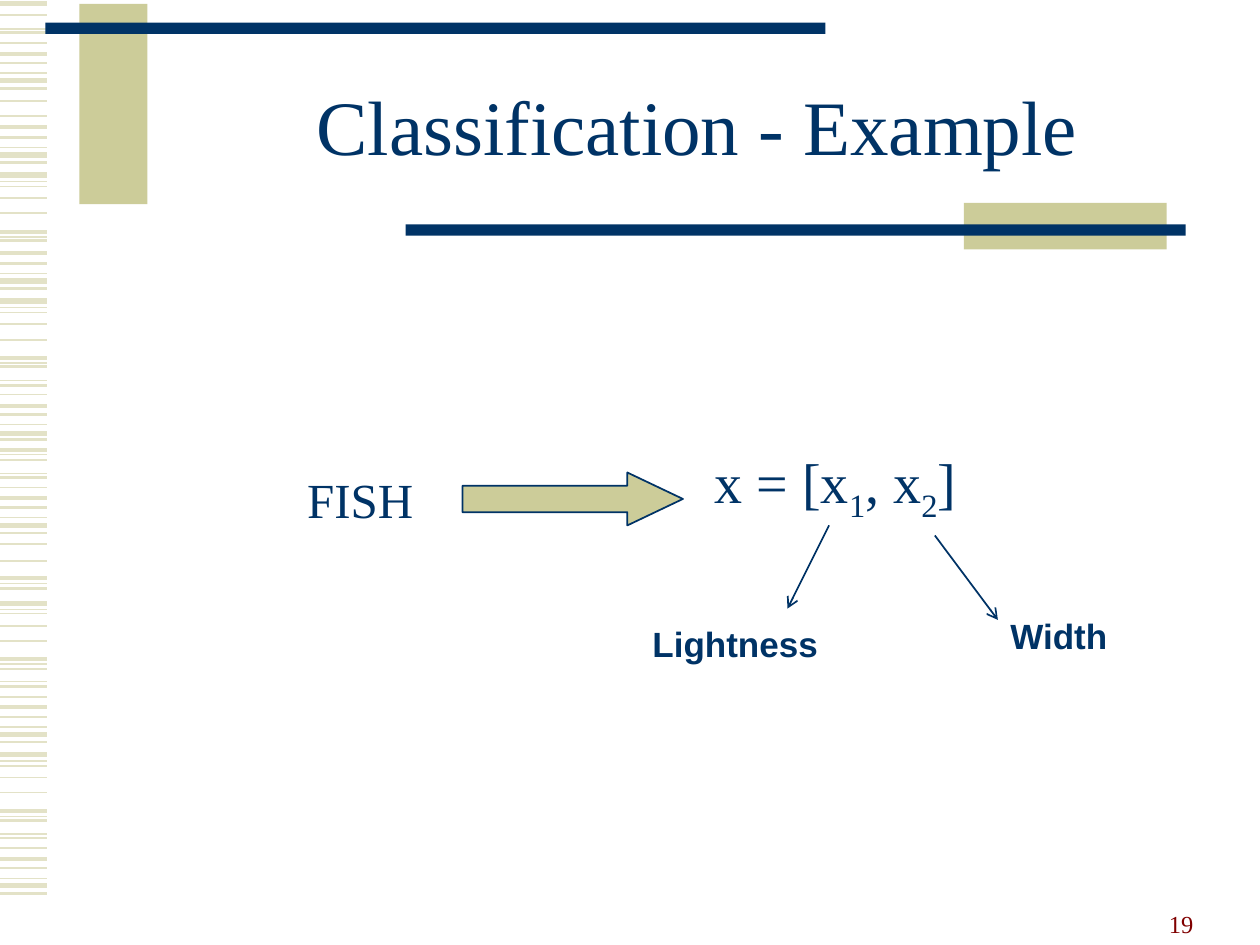
from lxml.etree import SubElement
from pptx import Presentation
from pptx.dml.color import RGBColor
from pptx.enum.shapes import MSO_CONNECTOR, MSO_SHAPE
from pptx.enum.text import MSO_ANCHOR, MSO_AUTO_SIZE, PP_ALIGN
from pptx.oxml.ns import qn
from pptx.util import Inches, Pt

COLORS = {"navy": "003366", "khaki": "CCCC99", "stripe": "E3E2C7", "number": "800000"}
SERIF, SANS = "Times New Roman", "Arial"

STRIPES = {
    0.75: [0.23, 0.58, 1.17, 1.44, 1.88, 2.17, 2.44, 2.88, 3.02, 3.37, 3.61, 3.76,
           4.11, 4.63, 4.84, 5.27, 5.41, 5.77, 6.04, 6.48, 6.62, 6.97],
    1: [0.34, 0.8, 0.92, 1.48, 1.57, 1.69, 2.48, 2.57, 2.7, 3.13, 3.87, 4.32, 4.45,
        4.87, 4.97, 5.09, 5.53, 6.08, 6.17, 6.29, 6.73],
    1.5: [0.12, 0.26, 0.5, 0.7, 1.09, 1.29, 1.91, 2.09, 2.29, 2.91, 3.06, 3.29, 3.49,
          3.65, 3.79, 4.03, 4.23, 4.67, 5.31, 5.45, 5.69, 5.89, 6.51, 6.65, 6.89, 7.09],
    2.25: [0.43, 1.01, 1.84, 2.01, 2.84, 3.22, 3.57, 3.95, 4.59, 5.23, 5.61, 6.44, 6.82],
    3: [0.03, 0.64, 1.23, 1.39, 2.23, 2.39, 3.44, 4.17, 4.79, 5.83, 5.99, 7.03],
}


def rgb(name):
    return RGBColor.from_string(COLORS[name])


def place(sp, box):
    sp.left, sp.top, sp.width, sp.height = (Inches(v) for v in box)


def style(r, size, font=SERIF, color="navy", bold=False):
    r.font.size, r.font.name, r.font.bold = Pt(size), font, bold
    r.font.color.rgb = rgb(color)


def add_line(s, start, end, color, weight, arrow=False):
    line = s.shapes.add_connector(
        MSO_CONNECTOR.STRAIGHT, *(Inches(v) for v in (*start, *end)))
    line.line.color.rgb = rgb(color)
    line.line.width = Pt(weight)
    if arrow:
        SubElement(line.line._get_or_add_ln(), qn("a:tailEnd"), type="arrow")
    SubElement(line._element.spPr, qn("a:effectLst"))


def add_block(s, kind, box, fill, outline=None):
    sp = s.shapes.add_shape(kind, *(Inches(v) for v in box))
    sp.shadow.inherit = False
    sp.fill.solid()
    sp.fill.fore_color.rgb = rgb(fill)
    if outline:
        sp.line.color.rgb = rgb(outline)
        sp.line.width = Pt(1)
    else:
        sp.line.fill.background()
    return sp


def add_label(s, box, text, size, font=SERIF, color="navy", bold=False):
    sp = s.shapes.add_textbox(*(Inches(v) for v in box))
    tf = sp.text_frame
    tf.word_wrap = False
    tf.auto_size = MSO_AUTO_SIZE.SHAPE_TO_FIT_TEXT
    tf.text = text
    style(tf.paragraphs[0].runs[0], size, font, color, bold)
    return tf


def add_stripes(s, left, right):
    for weight, heights in STRIPES.items():
        for y in heights:
            add_line(s, (left, y), (right, y), "stripe", weight)


def add_bars(s):
    for box, fill in [
        ((0.63, 0.03, 0.54, 1.59), "khaki"),
        ((0.36, 0.18, 6.19, 0.09), "navy"),
        ((7.65, 1.61, 1.61, 0.37), "khaki"),
        ((3.22, 1.78, 6.19, 0.09), "navy"),
    ]:
        add_block(s, MSO_SHAPE.RECTANGLE, box, fill)


def add_title(s, box):
    sp = s.shapes.title
    place(sp, box)
    tf = sp.text_frame
    tf.text = "Classification - Example"
    tf.auto_size = MSO_AUTO_SIZE.NONE
    tf.vertical_anchor = MSO_ANCHOR.MIDDLE
    p = tf.paragraphs[0]
    p.alignment = PP_ALIGN.CENTER
    p.line_spacing = 0.85
    style(p.runs[0], 44)


def add_vector(s, box):
    sp = s.placeholders[1]
    place(sp, box)
    tf = sp.text_frame
    tf.auto_size = MSO_AUTO_SIZE.NONE
    p = tf.paragraphs[0]
    p.alignment = PP_ALIGN.CENTER
    p.space_before = Pt(0)
    pPr = p._p.get_or_add_pPr()
    pPr.set("marL", str(Inches(0.38)))
    pPr.set("indent", str(Inches(-0.38)))
    SubElement(pPr, qn("a:buNone"))
    for text in ["x = [x", "1", ", x", "2", "]"]:
        r = p.add_run()
        r.text = text
        style(r, 32)
        if text.isdigit():
            r.font._element.set("baseline", "-25000")


def add_features(s):
    arrow = add_block(s, MSO_SHAPE.RIGHT_ARROW, (3.67, 3.75, 1.75, 0.42), "khaki", "navy")
    arrow.adjustments[0], arrow.adjustments[1] = 0.5, 1.05
    add_label(s, (2.34, 3.68, 1.04, 0.57), "FISH", 28)
    for text, box, start, end in [
        ("Lightness", (5.08, 4.89, 1.53, 0.44), (6.58, 4.17), (6.25, 4.83)),
        ("Width", (7.92, 4.83, 0.97, 0.44), (7.42, 4.25), (7.92, 4.92)),
    ]:
        add_label(s, box, text, 20, SANS, bold=True)
        add_line(s, start, end, "navy", 1, arrow=True)


def add_number(s, box):
    tf = add_label(s, box, "19", 14, color="number")
    tf.word_wrap = True
    tf.auto_size = MSO_AUTO_SIZE.NONE
    tf.vertical_anchor = MSO_ANCHOR.BOTTOM
    tf.paragraphs[0].alignment = PP_ALIGN.RIGHT


def main():
    prs = Presentation()
    prs.slide_width, prs.slide_height = Inches(10), Inches(7.5)
    s = prs.slides.add_slide(prs.slide_layouts[1])
    add_stripes(s, -0.33, 0.37)
    add_bars(s)
    add_number(s, (7.17, 7, 2.4, 0.5))
    add_title(s, (1.5, 0.42, 8.07, 1.25))
    add_vector(s, (5.42, 3.5, 2.42, 0.91))
    add_features(s)
    prs.save("out.pptx")


if __name__ == "__main__":
    main()
